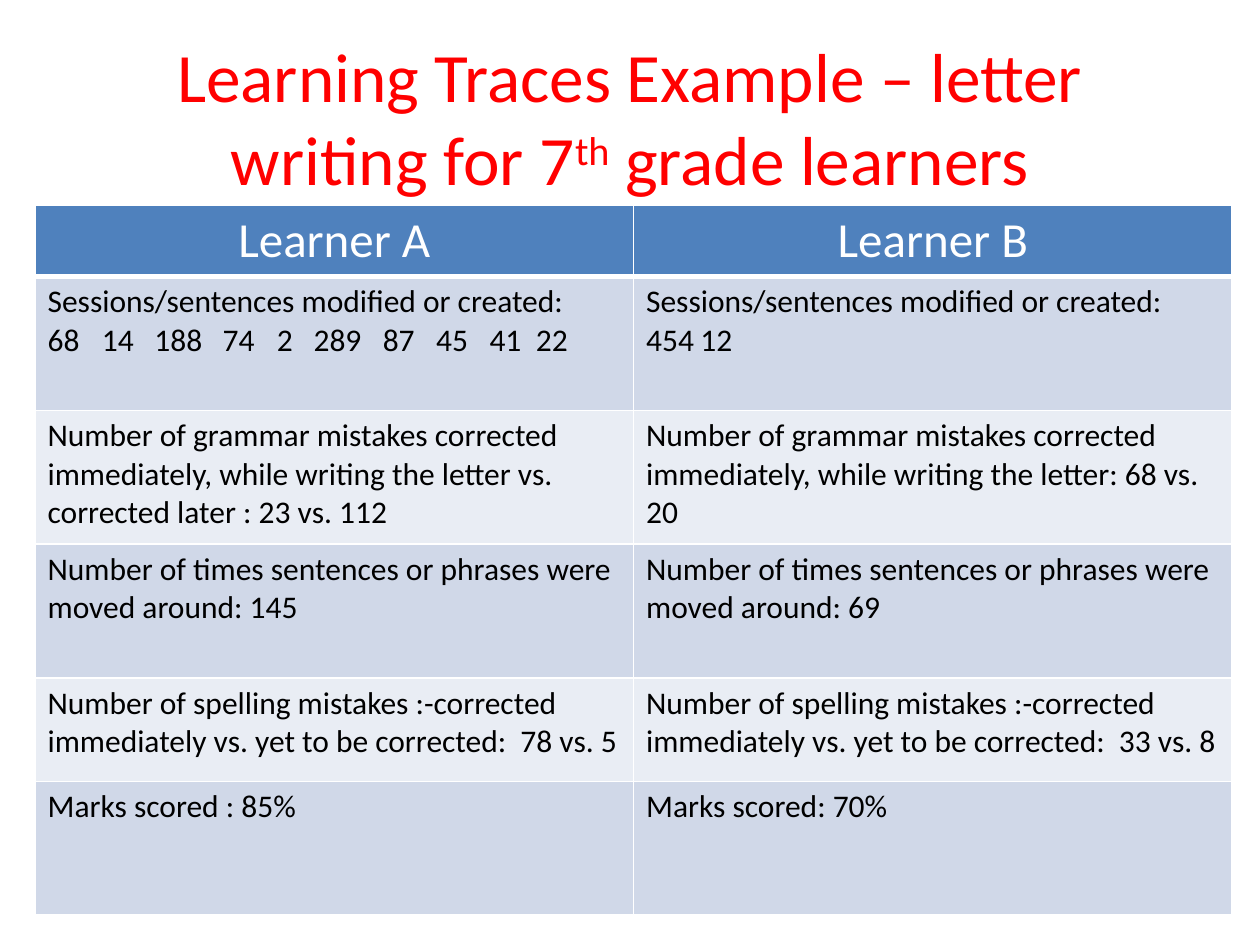
"""Build a slide comparing the learning traces of two learners."""
import pptx
import pptx.dml.color
import pptx.enum.text
import pptx.oxml.ns
import pptx.util
from lxml import etree

Pt = pptx.util.Pt
RGBColor = pptx.dml.color.RGBColor
qn = pptx.oxml.ns.qn
CENTER = pptx.enum.text.PP_ALIGN.CENTER
MIDDLE = pptx.enum.text.MSO_ANCHOR.MIDDLE

RED = RGBColor(0xFF, 0x00, 0x00)
WHITE = RGBColor(0xFF, 0xFF, 0xFF)
BLACK = RGBColor(0x00, 0x00, 0x00)
HEADER_BLUE = RGBColor(0x4F, 0x81, 0xBD)
BANDS = [RGBColor(0xE9, 0xED, 0xF4), RGBColor(0xD0, 0xD8, 0xE8)]

FONT = "Calibri"
TAB_STOPS = [31, 61, 100, 131, 152, 191.5, 222, 252.5, 279]
SESSIONS = "Sessions/sentences modified or created:\n"
GRAMMAR = "Number of grammar mistakes corrected immediately, while writing the letter"
MOVES = "Number of times sentences or phrases were moved around: "
SPELLING = "Number of spelling mistakes :-corrected immediately vs. yet to be corrected:  "
ROWS = [
    (41, "Learner A", "Learner B"),
    (76.5, SESSIONS + "68\t14\t188\t74\t2\t289\t87\t45\t41\t22", SESSIONS + "454\t12"),
    (76.5, GRAMMAR + " vs. corrected later : 23 vs. 112", GRAMMAR + ": 68 vs. 20"),
    (76.5, MOVES + "145", MOVES + "69"),
    (59, SPELLING + "78 vs. 5", SPELLING + "33 vs. 8"),
    (76.5, "Marks scored : 85%", "Marks scored: 70%"),
]


def add_borders(cell, bottom_width):
    properties = cell._tc.get_or_add_tcPr()
    for side, width in (("L", 1), ("R", 1), ("T", 1), ("B", bottom_width)):
        line = etree.SubElement(properties, qn(f"a:ln{side}"), w=str(Pt(width)))
        fill = etree.SubElement(line, qn("a:solidFill"))
        etree.SubElement(fill, qn("a:srgbClr"), val=str(WHITE))


def add_tab_stops(paragraph):
    tab_list = etree.SubElement(paragraph._p.get_or_add_pPr(), qn("a:tabLst"))
    for position in TAB_STOPS:
        etree.SubElement(tab_list, qn("a:tab"), pos=str(Pt(position)), algn="l")


presentation = pptx.Presentation()
presentation.slide_width = Pt(720)
presentation.slide_height = Pt(540)
slide = presentation.slides.add_slide(presentation.slide_layouts[6])

title = slide.shapes.add_textbox(Pt(36), Pt(21.6), Pt(648), Pt(90)).text_frame
title.word_wrap = True
title.vertical_anchor = MIDDLE
paragraph = title.paragraphs[0]
paragraph.alignment = CENTER
paragraph.font.name = FONT
paragraph.font.size = Pt(39.6)
paragraph.font.color.rgb = RED
for text in ("Learning Traces Example – letter writing for 7", "th", " grade learners"):
    run = paragraph.add_run()
    run.text = text
    if text == "th":
        run._r.get_or_add_rPr().set("baseline", "30000")

table_height = sum(row[0] for row in ROWS)
table = slide.shapes.add_table(
    len(ROWS), 2, Pt(20), Pt(117), Pt(684), Pt(table_height)
).table
for row_index, (height, *texts) in enumerate(ROWS):
    is_header = row_index == 0
    table.rows[row_index].height = Pt(height)
    for column_index, text in enumerate(texts):
        cell = table.cell(row_index, column_index)
        add_borders(cell, 3 if is_header else 1)
        cell.fill.solid()
        cell.fill.fore_color.rgb = HEADER_BLUE if is_header else BANDS[row_index % 2]
        cell.text = text
        for paragraph in cell.text_frame.paragraphs:
            if "\t" in paragraph.text:
                add_tab_stops(paragraph)
            if is_header:
                paragraph.alignment = CENTER
            paragraph.font.name = FONT
            paragraph.font.size = Pt(28 if is_header else 18)
            paragraph.font.bold = False
            paragraph.font.color.rgb = WHITE if is_header else BLACK

presentation.save("out.pptx")
